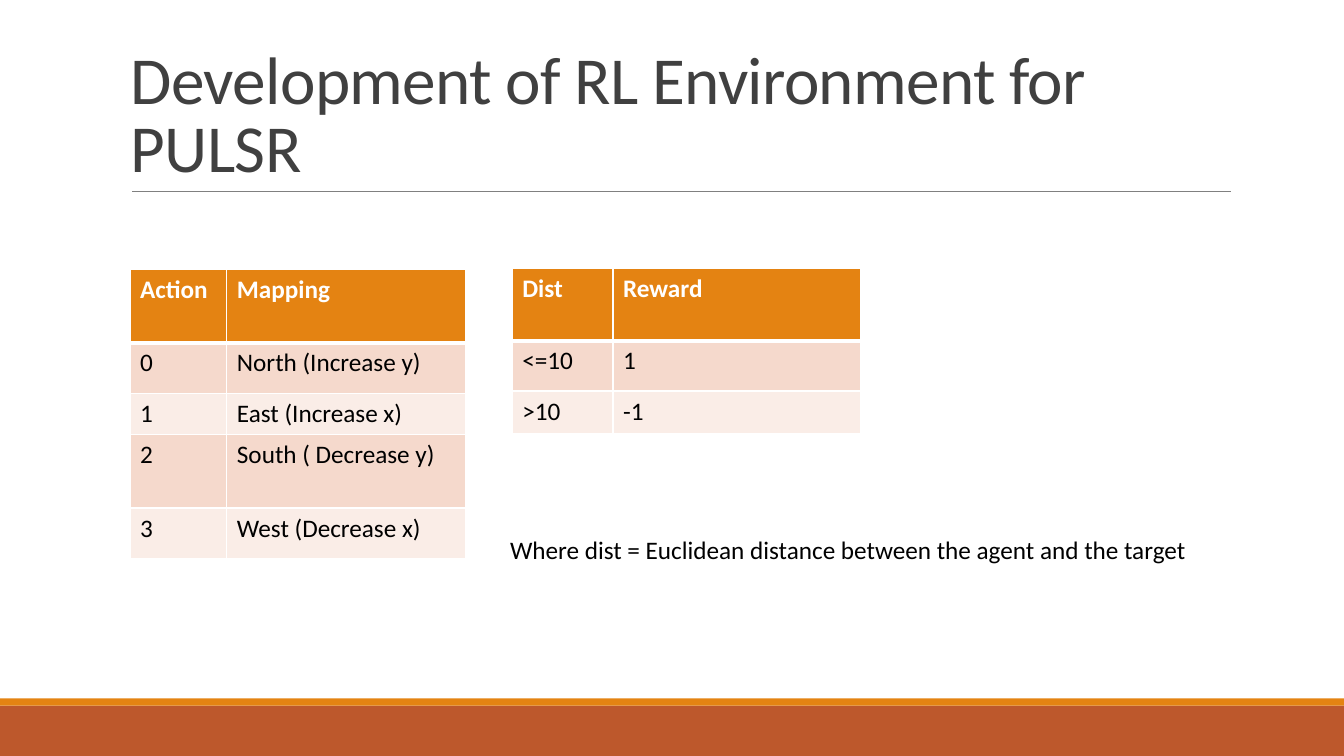
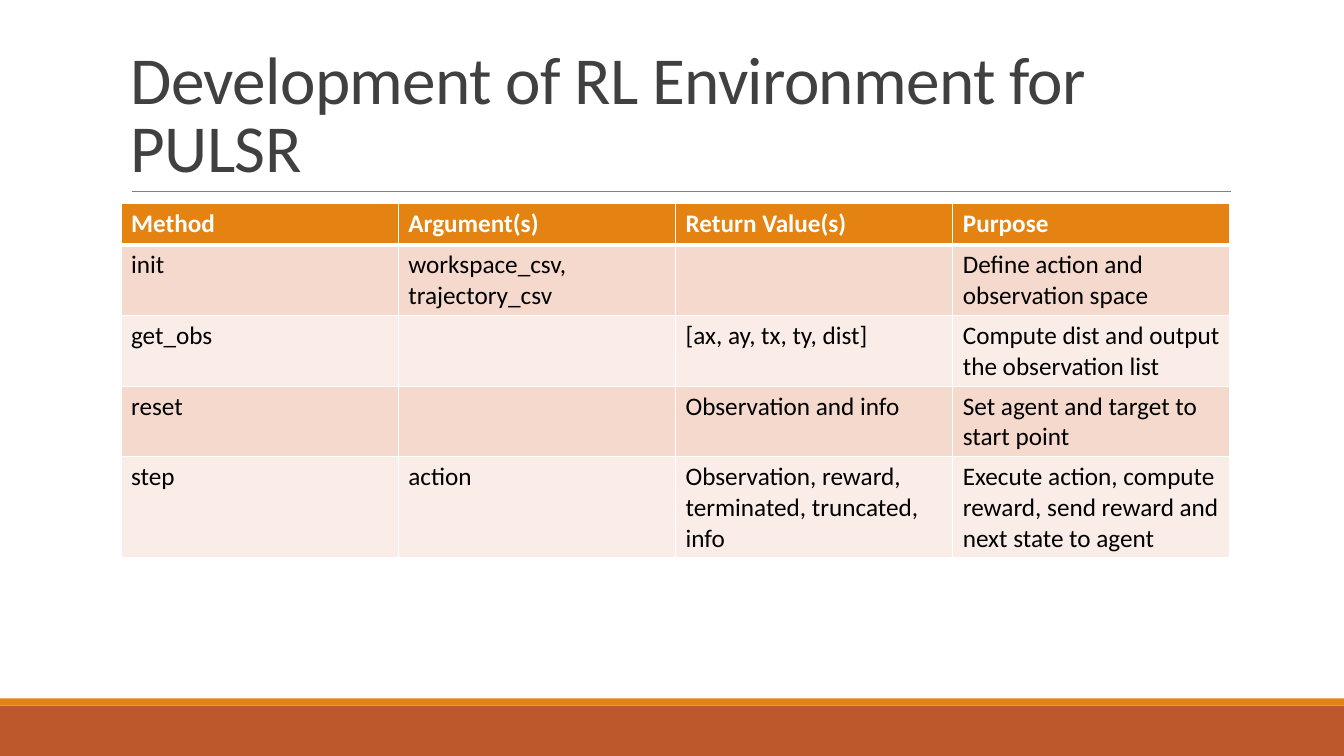
from dataclasses import dataclass

from lxml.etree import SubElement
from pptx import Presentation
from pptx.dml.color import RGBColor
from pptx.enum.shapes import MSO_CONNECTOR, MSO_SHAPE
from pptx.enum.text import MSO_ANCHOR
from pptx.oxml import parse_xml
from pptx.oxml.ns import nsdecls, qn
from pptx.slide import Slide
from pptx.table import _Cell
from pptx.text.text import _Paragraph
from pptx.util import Emu, Pt

EMU_PER_PX = 9144
PAGE_WIDTH, PAGE_HEIGHT = 1333, 750


@dataclass(frozen=True)
class Theme:
    font: str = "Calibri"
    title_size: int = 48
    body_size: int = 18
    title_spacing: int = -50
    title_leading: float = 0.85
    title: str = "404040"
    body: str = "000000"
    white: str = "FFFFFF"
    accent: str = "E48312"
    footer: str = "BD582C"
    rule: str = "808080"
    stripes: tuple[str, str] = ("F5D9CC", "FAEDE7")


@dataclass(frozen=True)
class Area:
    left: int
    top: int
    width: int
    height: int

    def emu(self) -> tuple[Emu, Emu, Emu, Emu]:
        return px(self.left), px(self.top), px(self.width), px(self.height)


@dataclass(frozen=True)
class Band:
    area: Area
    color: str


@dataclass(frozen=True)
class Grid:
    left: int
    top: int
    columns: tuple[int, ...]
    heights: tuple[int, ...]
    rows: tuple[tuple[str, ...], ...]


@dataclass(frozen=True)
class Note:
    area: Area
    text: str


@dataclass(frozen=True)
class PageContent:
    grids: tuple[Grid, ...]
    notes: tuple[Note, ...] = ()


THEME = Theme()
TITLE = "Development of RL Environment for PULSR"
TITLE_AREA = Area(120, 31, 1100, 159)
RULE_LEFT, RULE_RIGHT, RULE_TOP = 131, 1221, 190
BANDS = (
    Band(Area(0, 700, PAGE_WIDTH, 50), THEME.footer),
    Band(Area(0, 693, PAGE_WIDTH, 7), THEME.accent),
)

ACTIONS = Grid(
    129, 267, (96, 237), (73, 50, 41, 73, 50),
    (
        ("Action", "Mapping"),
        ("0", "North (Increase y)"),
        ("1", "East (Increase x)"),
        ("2", "South ( Decrease y)"),
        ("3", "West (Decrease x)"),
    ),
)
REWARDS = Grid(
    508, 266, (100, 246), (72, 50, 42),
    (("Dist", "Reward"), ("<=10", "1"), (">10", "-1")),
)
METHODS = Grid(
    120, 202, (275,) * 4, (41,) * 5,
    (
        ("Method", "Argument(s)", "Return Value(s)", "Purpose"),
        ("init", "workspace_csv, trajectory_csv", "", "Define action and observation space"),
        ("get_obs", "", "[ax, ay, tx, ty, dist]", "Compute dist and output the observation list"),
        ("reset", "", "Observation and info", "Set agent and target to start point"),
        (
            "step",
            "action",
            "Observation, reward, terminated, truncated, info",
            "Execute action, compute reward, send reward and next state to agent",
        ),
    ),
)
DISTANCE_NOTE = Note(
    Area(496, 525, 752, 40),
    "Where dist = Euclidean distance between the agent and the target",
)
PAGES = (
    PageContent((ACTIONS, REWARDS), (DISTANCE_NOTE,)),
    PageContent((METHODS,)),
)


def px(length: int) -> Emu:
    return Emu(length * EMU_PER_PX)


def rgb(color: str) -> RGBColor:
    return RGBColor.from_string(color)


def set_font(para: _Paragraph, size: int, color: str, bold: bool = False) -> None:
    para.font.name = THEME.font
    para.font.size = Pt(size)
    para.font.bold = bold
    para.font.color.rgb = rgb(color)


def add_band(page: Slide, band: Band) -> None:
    shape = page.shapes.add_shape(MSO_SHAPE.RECTANGLE, *band.area.emu())
    shape.shadow.inherit = False
    shape.fill.solid()
    shape.fill.fore_color.rgb = rgb(band.color)
    shape.line.fill.background()


def add_rule(page: Slide) -> None:
    rule = page.shapes.add_connector(
        MSO_CONNECTOR.STRAIGHT, px(RULE_LEFT), px(RULE_TOP), px(RULE_RIGHT), px(RULE_TOP)
    )
    rule.line.color.rgb = rgb(THEME.rule)
    rule.line.width = Pt(0.5)
    SubElement(rule._element.spPr, qn("a:effectLst"))


def add_text(page: Slide, note: Note, size: int, color: str) -> _Paragraph:
    frame = page.shapes.add_textbox(*note.area.emu()).text_frame
    frame.word_wrap = True
    para = frame.paragraphs[0]
    para.text = note.text
    set_font(para, size, color)
    return para


def add_title(page: Slide) -> None:
    para = add_text(page, Note(TITLE_AREA, TITLE), THEME.title_size, THEME.title)
    para.line_spacing = THEME.title_leading
    para.font._rPr.set("spc", str(THEME.title_spacing))
    page.shapes[-1].text_frame.vertical_anchor = MSO_ANCHOR.BOTTOM


def set_borders(cell: _Cell, top: int, bottom: int) -> None:
    properties = cell._tc.get_or_add_tcPr()
    widths = {"lnL": 1, "lnR": 1, "lnT": top, "lnB": bottom}
    for index, (side, width) in enumerate(widths.items()):
        border = parse_xml(
            f'<a:{side} {nsdecls("a")} w="{Pt(width)}"><a:solidFill>'
            f'<a:srgbClr val="{THEME.white}"/></a:solidFill></a:{side}>'
        )
        properties.insert(index, border)


def style_cell(cell: _Cell, text: str, row: int) -> None:
    header = row == 0
    cell.fill.solid()
    cell.fill.fore_color.rgb = rgb(THEME.accent if header else THEME.stripes[(row - 1) % 2])
    set_borders(cell, top=3 if row == 1 else 1, bottom=3 if header else 1)
    para = cell.text_frame.paragraphs[0]
    if text:
        para.text = text
    set_font(para, THEME.body_size, THEME.white if header else THEME.body, header)


def add_grid(page: Slide, grid: Grid) -> None:
    area = Area(grid.left, grid.top, sum(grid.columns), sum(grid.heights))
    table = page.shapes.add_table(len(grid.rows), len(grid.columns), *area.emu()).table
    for column, width in zip(table.columns, grid.columns):
        column.width = px(width)
    for row, height in zip(table.rows, grid.heights):
        row.height = px(height)
    for row_index, texts in enumerate(grid.rows):
        for column_index, text in enumerate(texts):
            style_cell(table.cell(row_index, column_index), text, row_index)


def main() -> None:
    deck = Presentation()
    deck.slide_width, deck.slide_height = px(PAGE_WIDTH), px(PAGE_HEIGHT)
    for content in PAGES:
        page = deck.slides.add_slide(deck.slide_layouts[6])
        for band in BANDS:
            add_band(page, band)
        add_rule(page)
        add_title(page)
        for grid in content.grids:
            add_grid(page, grid)
        for note in content.notes:
            add_text(page, note, THEME.body_size, THEME.body)
    deck.save("out.pptx")


if __name__ == "__main__":
    main()
